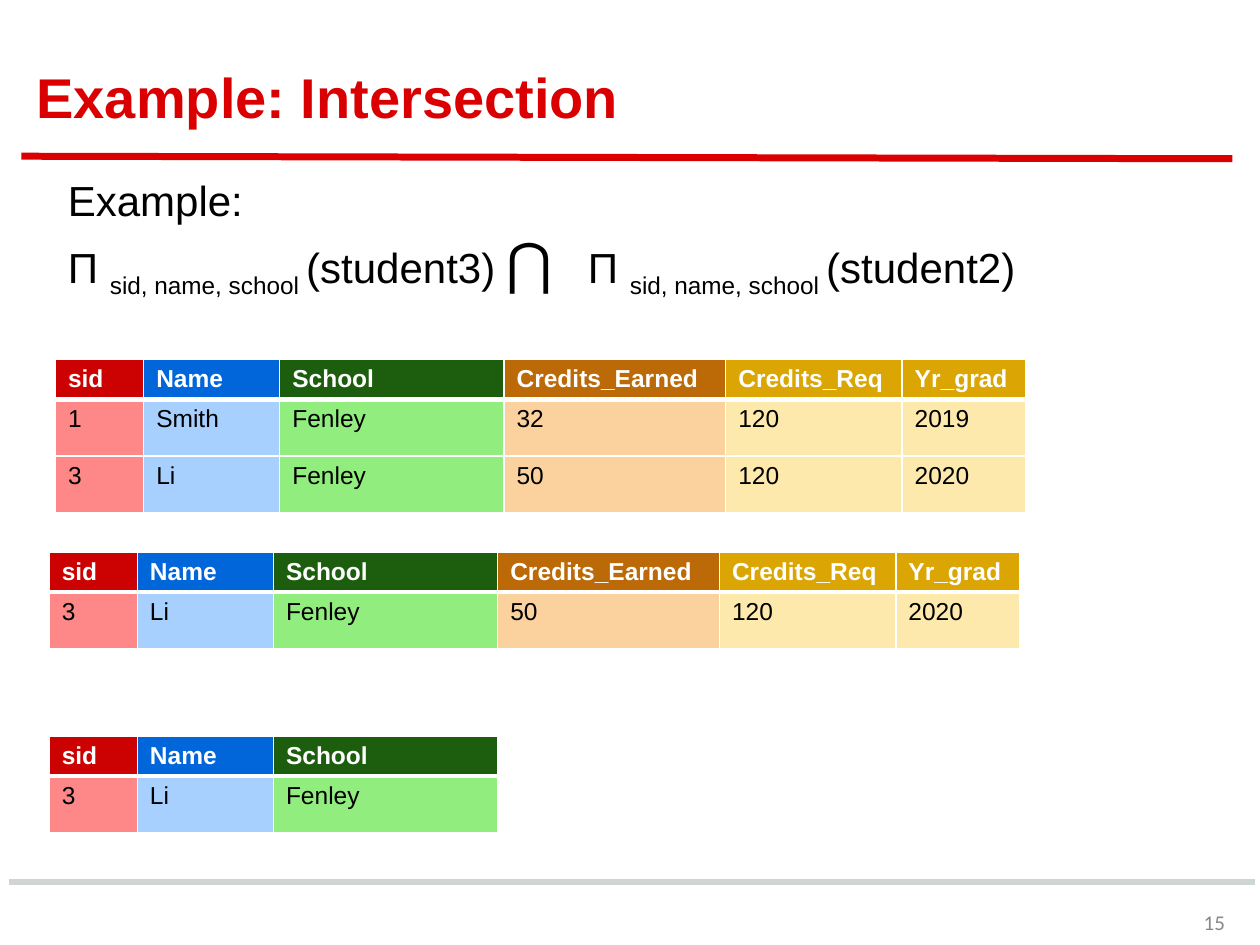
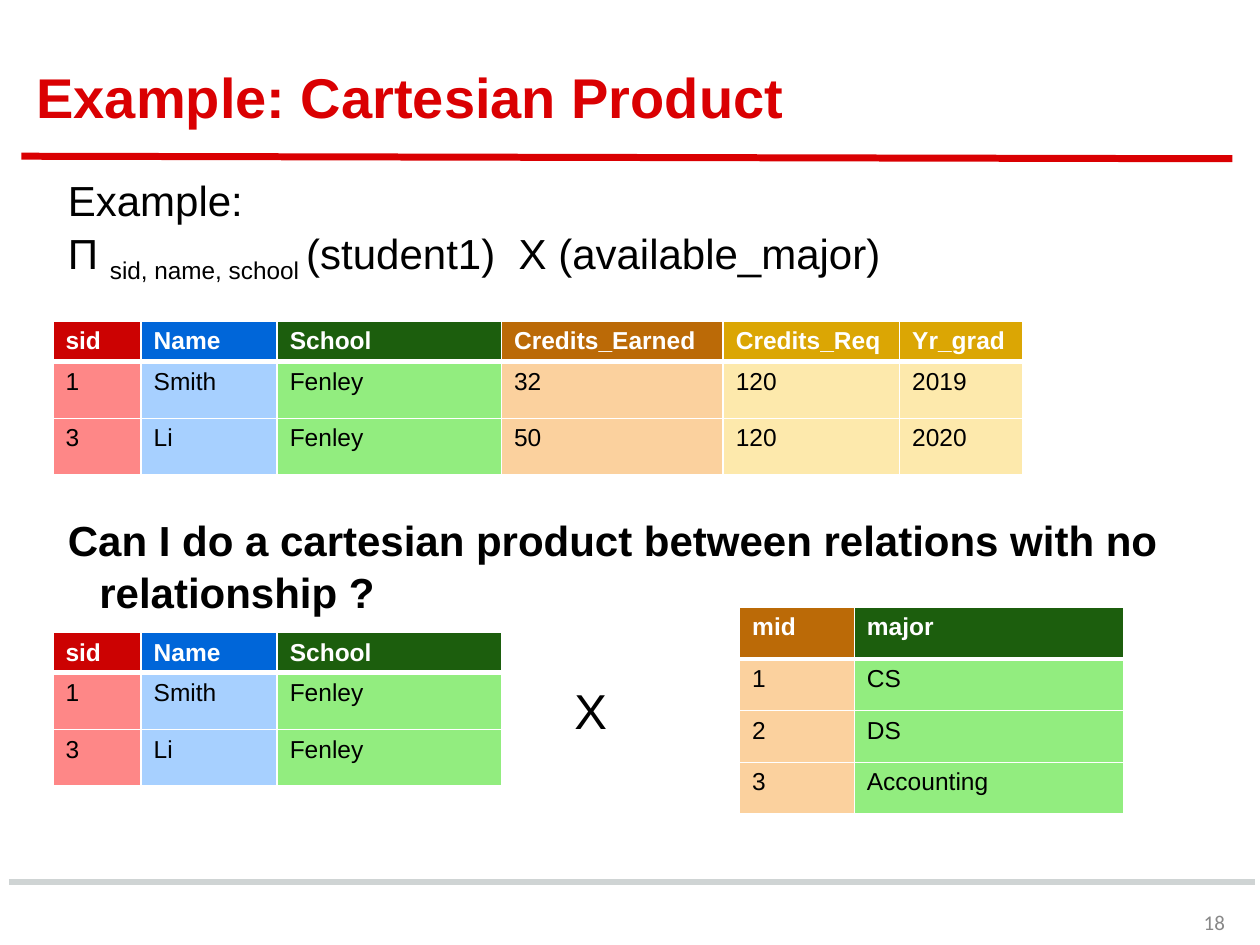
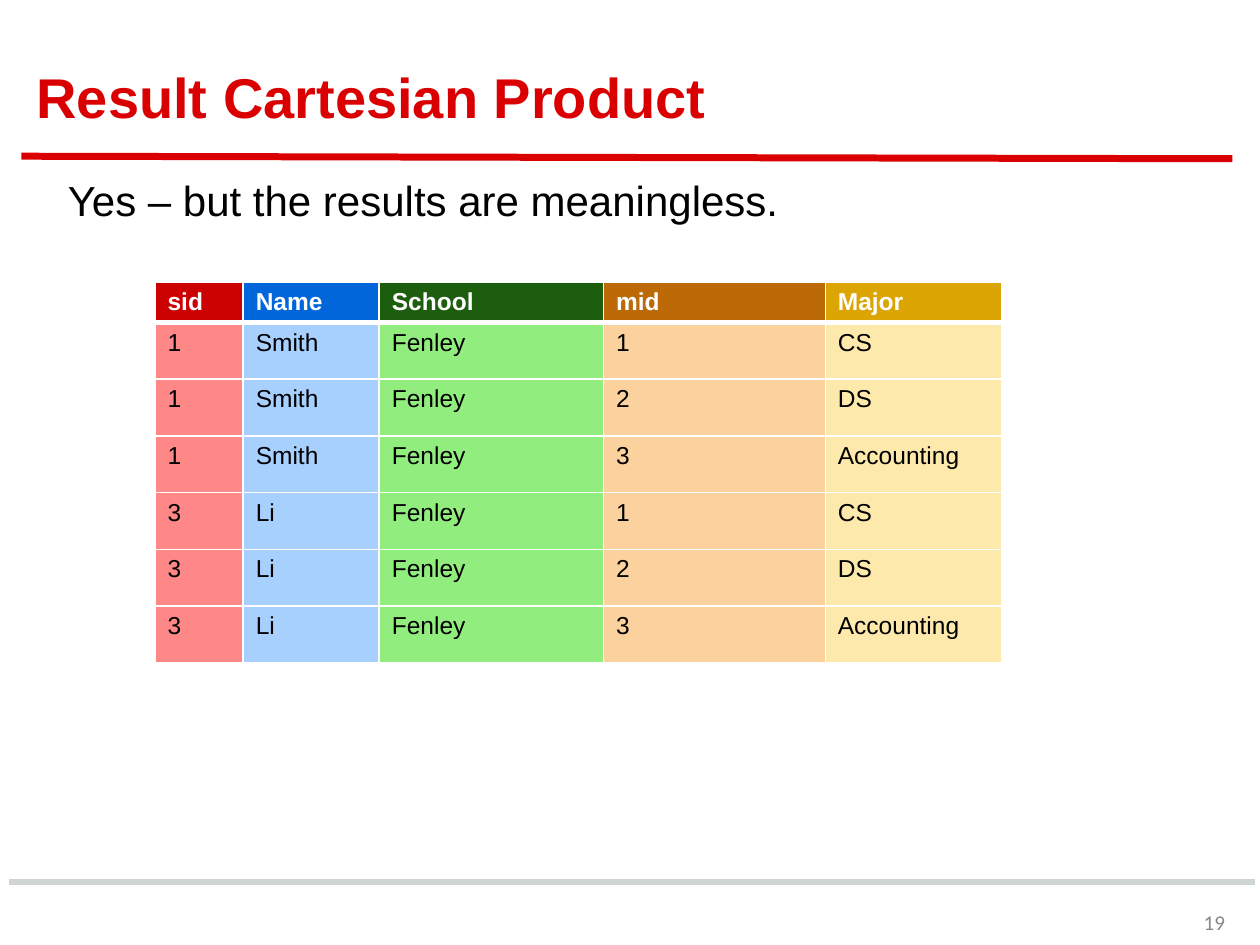
"""Build three relational algebra slides: intersection and cartesian product."""
from itertools import product
from typing import NamedTuple, Sequence

from lxml import etree
from pptx import Presentation
from pptx import util as u
from pptx.dml.color import RGBColor
from pptx.enum import shapes, text
from pptx.oxml import ns

COLORS = {
    "white": "FFFFFF", "black": "000000", "accent": "DA0002",
    "footer_line": "CFD4D4", "page_number": "888888",
}
HEADER_FILLS = {
    "red": "CC0202", "blue": "0066D9", "green": "1C5E0D",
    "orange": "BB6A07", "gold": "DBA604",
}
BODY_FILLS = {
    "red": "FE8787", "blue": "A7D0FF", "green": "92ED7F",
    "orange": "FBD19E", "gold": "FDE9AC",
}
FONT = "Arial"
BODY_SIZE = 24
TABLE_SIZE = 14
LINE_SPACING = 1.04


class Box(NamedTuple):
    left: float
    top: float
    width: float
    height: float


class Rule(NamedTuple):
    start: tuple[float, float]
    end: tuple[float, float]
    color: str


class Span(NamedTuple):
    content: str
    size: float = BODY_SIZE
    bold: bool = False
    subscript: bool = False
    gap: float = 0


class Para(NamedTuple):
    spans: Sequence[Span]
    space_before: float = 0


class Column(NamedTuple):
    name: str
    width: float
    hue: str


class Relation(NamedTuple):
    left: float
    top: float
    columns: Sequence[Column]
    rows: Sequence[Sequence[str]]
    header_height: float = 0.32
    row_height: float = 0.45


class Page(NamedTuple):
    number: int
    title: str
    paras: Sequence[Para]
    relations: Sequence[Relation]


RULES = (
    Rule((0.07, 7), (9.96, 7), "footer_line"),
    Rule((0.17, 1.24), (9.78, 1.26), "accent"),
)
TITLE_BOX = Box(0.19, 0.29, 9.77, 0.84)
BODY_BOX = Box(0.19, 1.27, 9.62, 5.61)
NUMBER_BOX = Box(9.07, 7.16, 0.75, 0.31)
TIMES_BOX = Box(4.46, 5.35, 0.46, 0.57)

STUDENT = (
    Column("sid", 0.7, "red"), Column("Name", 1.08, "blue"),
    Column("School", 1.78, "green"),
)
CREDITS = (
    Column("Credits_Earned", 1.76, "orange"),
    Column("Credits_Req", 1.4, "gold"), Column("Yr_grad", 0.98, "gold"),
)
MAJOR = (Column("mid", 0.91, "orange"), Column("major", 2.14, "green"))
RESULT_MAJOR = (Column("mid", 1.76, "orange"), Column("Major", 1.4, "gold"))

SMITH = ("1", "Smith", "Fenley")
LI = ("3", "Li", "Fenley")
STUDENTS = (SMITH, LI)
LI_CREDITS = LI + ("50", "120", "2020")
STUDENT_CREDITS = (SMITH + ("32", "120", "2019"), LI_CREDITS)
MAJORS = (("1", "CS"), ("2", "DS"), ("3", "Accounting"))

EXAMPLE = Para((Span("Example:"),))
PROJECTION = (Span("Π "), Span("sid, name, school ", subscript=True))

PAGES = (
    Page(15, "Example: Intersection", (
        EXAMPLE,
        Para((*PROJECTION, Span("(student3) "), Span("⋂", 32, gap=13.3),
              Span(" "), *PROJECTION, Span("(student2)"))),
    ), (
        Relation(0.44, 2.85, STUDENT + CREDITS, STUDENT_CREDITS),
        Relation(0.39, 4.38, STUDENT + CREDITS, (LI_CREDITS,)),
        Relation(0.39, 5.84, STUDENT, (LI,)),
    )),
    Page(18, "Example: Cartesian Product", (
        EXAMPLE,
        Para((*PROJECTION, Span("(student1)"), Span(" ", gap=6.7),
              Span("X (available_major)"))),
        Para((Span("Can I do a cartesian product between relations with no "
                   "relationship ?", bold=True),), space_before=130),
    ), (
        Relation(0.42, 2.55, STUDENT + CREDITS, STUDENT_CREDITS),
        Relation(5.87, 4.82, MAJOR, MAJORS, 0.41, 0.41),
        Relation(0.42, 5.02, STUDENT, STUDENTS),
    )),
    Page(19, "Result Cartesian Product", (
        Para((Span("Yes – but the results are meaningless."),)),
    ), (
        Relation(1.23, 2.24, STUDENT + RESULT_MAJOR,
                 [who + major for who, major in product(STUDENTS, MAJORS)]),
    )),
)


def rgb(value: str) -> RGBColor:
    """Turn a hex string into a colour."""
    return RGBColor.from_string(value)


def inches(values: Sequence[float]) -> list[u.Length]:
    """Turn numbers into lengths."""
    return [u.Inches(value) for value in values]


def style_run(run, size: float, color: str, bold: bool = False, font: str = FONT) -> None:
    """Set the font of a run."""
    run.font.name = font
    run.font.size = u.Pt(size)
    run.font.bold = bold
    run.font.color.rgb = rgb(COLORS[color])


def set_frame(frame, anchor, vertical_inset: float = 0.1) -> None:
    """Set the insets, wrapping and anchor of a text frame."""
    frame.word_wrap = True
    frame.auto_size = text.MSO_AUTO_SIZE.NONE
    frame.vertical_anchor = anchor
    frame.margin_left = frame.margin_right = u.Inches(0.1)
    frame.margin_top = frame.margin_bottom = u.Inches(vertical_inset)


def draw_rule(slide, rule: Rule) -> None:
    """Draw one horizontal rule."""
    line = slide.shapes.add_connector(
        shapes.MSO_CONNECTOR.STRAIGHT, *inches(rule.start + rule.end))
    line.line.color.rgb = rgb(COLORS[rule.color])
    line.line.width = u.Pt(4)
    etree.SubElement(line._element.spPr, ns.qn("a:effectLst"))


def draw_title(slide, title: str) -> None:
    """Place and format the title placeholder."""
    holder = slide.shapes.title
    holder.left, holder.top, holder.width, holder.height = inches(TITLE_BOX)
    frame = holder.text_frame
    frame.text = title
    set_frame(frame, text.MSO_ANCHOR.BOTTOM)
    frame.paragraphs[0].alignment = text.PP_ALIGN.LEFT
    style_run(frame.paragraphs[0].runs[0], 32, "accent", bold=True)


def draw_number(slide, number: int) -> None:
    """Write the page number at the bottom right."""
    frame = slide.shapes.add_textbox(*inches(NUMBER_BOX)).text_frame
    set_frame(frame, text.MSO_ANCHOR.MIDDLE, 0.05)
    frame.text = str(number)
    frame.paragraphs[0].alignment = text.PP_ALIGN.RIGHT
    style_run(frame.paragraphs[0].runs[0], 12, "page_number", font="Calibri")


def draw_body(slide, paras: Sequence[Para]) -> None:
    """Write the body paragraphs with a hanging indent."""
    frame = slide.shapes.add_textbox(*inches(BODY_BOX)).text_frame
    set_frame(frame, text.MSO_ANCHOR.TOP)
    for index, para in enumerate(paras):
        paragraph = frame.add_paragraph() if index else frame.paragraphs[0]
        paragraph.line_spacing = LINE_SPACING
        paragraph.space_before = u.Pt(para.space_before)
        properties = paragraph._p.get_or_add_pPr()
        properties.set("marL", str(u.Inches(0.5)))
        properties.set("indent", str(u.Inches(-0.25)))
        for span in para.spans:
            run = paragraph.add_run()
            run.text = span.content
            style_run(run, span.size, "black", span.bold)
            if span.subscript:
                run.font._element.set("baseline", "-25000")
            if span.gap:
                run.font._element.set("spc", str(round(span.gap * 100)))


def set_borders(cell, top: float, bottom: float) -> None:
    """Give a cell white borders."""
    properties = cell._tc.get_or_add_tcPr()
    widths = {"lnL": 1, "lnR": 1, "lnT": top, "lnB": bottom}
    for index, (side, width) in enumerate(widths.items()):
        border = etree.Element(ns.qn(f"a:{side}"), w=str(u.Pt(width)))
        fill = etree.SubElement(border, ns.qn("a:solidFill"))
        etree.SubElement(fill, ns.qn("a:srgbClr"), val=COLORS["white"])
        properties.insert(index, border)


def draw_relation(slide, relation: Relation) -> None:
    """Draw a relation as a table with one hue for each column."""
    heights = [relation.header_height] + [relation.row_height] * len(relation.rows)
    box = Box(relation.left, relation.top,
              sum(column.width for column in relation.columns), sum(heights))
    table = slide.shapes.add_table(
        len(heights), len(relation.columns), *inches(box)).table
    for row, height in zip(table.rows, heights):
        row.height = u.Inches(height)
    for index, column in enumerate(relation.columns):
        table.columns[index].width = u.Inches(column.width)
        values = [column.name] + [row[index] for row in relation.rows]
        for level, value in enumerate(values):
            header = level == 0
            cell = table.cell(level, index)
            cell.text_frame.text = value
            style_run(cell.text_frame.paragraphs[0].runs[0], TABLE_SIZE,
                      "white" if header else "black", bold=header)
            cell.fill.solid()
            fills = HEADER_FILLS if header else BODY_FILLS
            cell.fill.fore_color.rgb = rgb(fills[column.hue])
            set_borders(cell, 3 if level == 1 else 1, 3 if header else 1)


def draw_times(slide) -> None:
    """Write the product sign between two relations."""
    frame = slide.shapes.add_textbox(*inches(TIMES_BOX)).text_frame
    frame.word_wrap = False
    frame.auto_size = text.MSO_AUTO_SIZE.SHAPE_TO_FIT_TEXT
    frame.text = "X"
    style_run(frame.paragraphs[0].runs[0], 28, "black")


def draw_page(deck, page: Page):
    """Add one slide with everything the slides share and return it."""
    slide = deck.slides.add_slide(deck.slide_layouts.get_by_name("Title Only"))
    for rule in RULES:
        draw_rule(slide, rule)
    draw_number(slide, page.number)
    draw_title(slide, page.title)
    draw_body(slide, page.paras)
    for relation in page.relations:
        draw_relation(slide, relation)
    return slide


def main() -> None:
    """Build and save the deck."""
    deck = Presentation()
    deck.slide_width, deck.slide_height = inches((10, 7.5))
    _, operands, _ = [draw_page(deck, page) for page in PAGES]
    draw_times(operands)
    deck.save("out.pptx")


if __name__ == "__main__":
    main()
